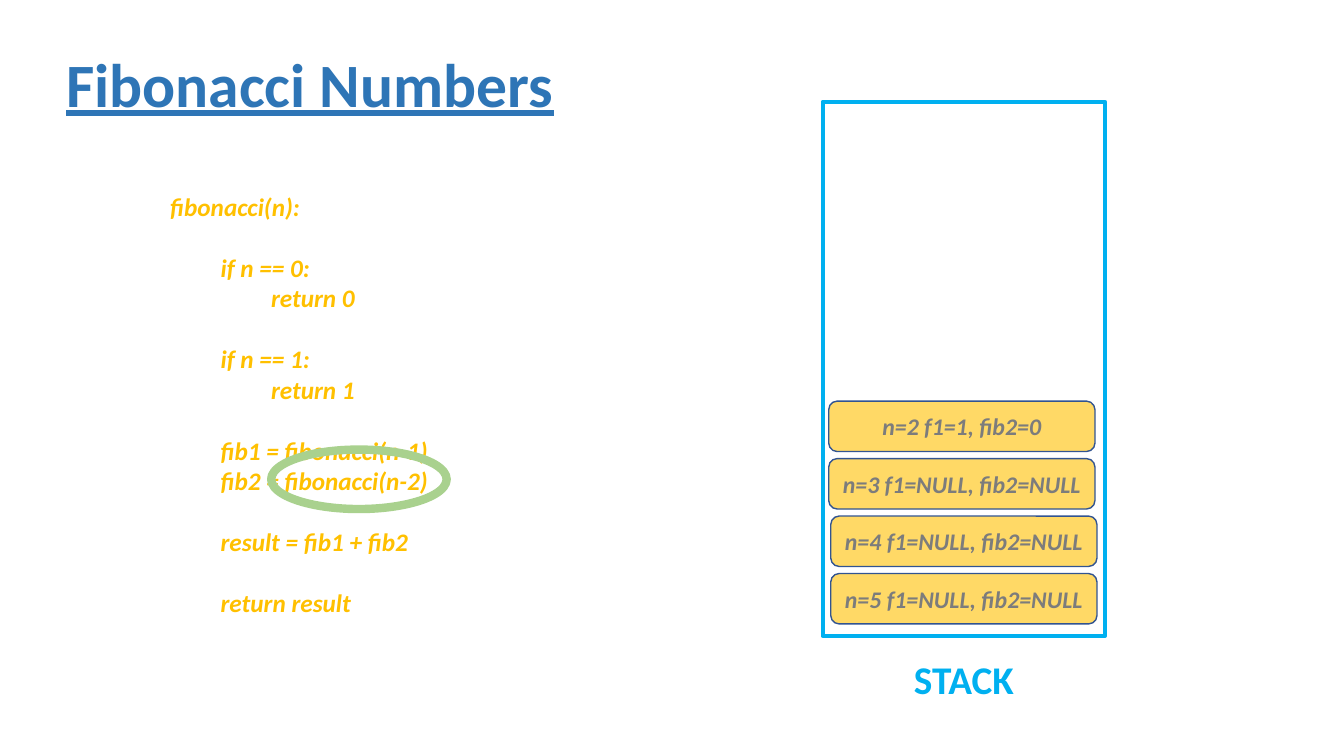
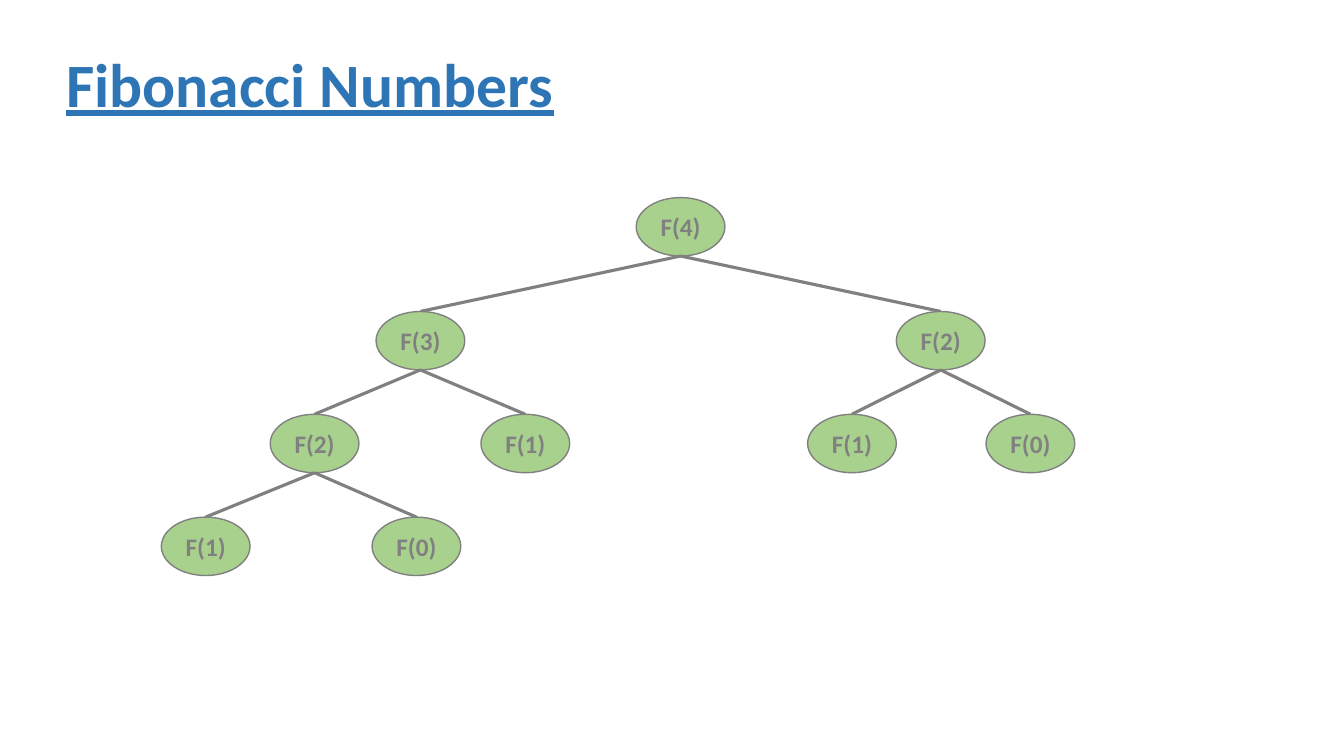
"""Build two slides on Fibonacci numbers: the call stack and the call tree."""
from dataclasses import dataclass

from lxml import etree
from pptx import Presentation
from pptx.dml.color import RGBColor
from pptx.enum.shapes import MSO_CONNECTOR, MSO_SHAPE
from pptx.enum.text import MSO_ANCHOR, PP_ALIGN
from pptx.oxml.ns import qn
from pptx.shapes.autoshape import Shape
from pptx.slide import Slide
from pptx.text.text import TextFrame
from pptx.util import Inches, Pt

RECT = MSO_SHAPE.RECTANGLE
ROUND = MSO_SHAPE.ROUNDED_RECTANGLE
OVAL = MSO_SHAPE.OVAL
STRAIGHT = MSO_CONNECTOR.STRAIGHT
LEFT, CENTER = PP_ALIGN.LEFT, PP_ALIGN.CENTER
TOP, MIDDLE = MSO_ANCHOR.TOP, MSO_ANCHOR.MIDDLE


@dataclass(frozen=True)
class Theme:
    """Colours, font and type sizes of both slides."""
    font: str = "Calibri"
    blue: str = "2E75B6"
    cyan: str = "00B0F0"
    gold: str = "FFC000"
    sand: str = "FFD966"
    navy: str = "325491"
    green: str = "A9D18E"
    gray: str = "808080"
    ink: str = "7C7C7C"
    title: float = 44
    label: float = 28
    body: float = 18
    frame: float = 17


@dataclass(frozen=True)
class Box:
    """Place and size in inches."""
    left: float
    top: float
    width: float
    height: float


@dataclass(frozen=True)
class Style:
    """Look of a piece of text."""
    size: float
    color: str
    align: PP_ALIGN = LEFT
    italic: bool = False
    under: bool = False


@dataclass(frozen=True)
class Line:
    """Line of code with its indent level and a gap above it."""
    text: str
    level: int = 0
    gap: bool = False


@dataclass(frozen=True)
class Frame:
    """Call on the stack."""
    text: str
    left: float


@dataclass(frozen=True)
class Node:
    """Call in the tree, with the centre of its oval."""
    text: str
    x: float
    kids: tuple["Node", ...] = ()


THEME = Theme()
TITLE = Style(THEME.title, THEME.blue, under=True)
LABEL = Style(THEME.label, THEME.cyan, CENTER)
CODE = Style(THEME.body, THEME.gold, italic=True)
CALL = Style(THEME.frame, THEME.ink, CENTER, italic=True)
LEAF = Style(THEME.body, THEME.gray, CENTER)

INDENT = 0.5
GAP = 22
LINES = (
    Line("fibonacci(n):"),
    Line("if n == 0:", 1, True),
    Line("return 0", 2),
    Line("if n == 1:", 1, True),
    Line("return 1", 2),
    Line("fib1 = fibonacci(n-1)", 1, True),
    Line("fib2 = fibonacci(n-2)", 1),
    Line("result = fib1 + fib2", 1, True),
    Line("return result", 1, True),
)

BASE, STEP = 5.69, 0.57
FRAMES = (
    Frame("n=5 f1=NULL, fib2=NULL", 8.24),
    Frame("n=4 f1=NULL, fib2=NULL", 8.24),
    Frame("n=3 f1=NULL, fib2=NULL", 8.22),
    Frame("n=2 f1=1, fib2=0", 8.22),
)

WIDE, HIGH = 0.88, 0.58
TIERS = (1.96, 3.09, 4.11, 5.13)
TREE = Node("F(4)", 6.75, (
    Node("F(3)", 4.17, (
        Node("F(2)", 3.12, (Node("F(1)", 2.04), Node("F(0)", 4.13))),
        Node("F(1)", 5.21),
    )),
    Node("F(2)", 9.33, (Node("F(1)", 8.45), Node("F(0)", 10.22))),
))


def rgb(color: str) -> RGBColor:
    """Turn a hex string into a colour."""
    return RGBColor.from_string(color)


def write(frame: TextFrame, lines: tuple[Line, ...], style: Style) -> None:
    """Fill a text frame with styled lines."""
    for i, line in enumerate(lines):
        para = frame.paragraphs[0] if i == 0 else frame.add_paragraph()
        para.text = line.text
        para.alignment = style.align
        font = para.font
        font.name, font.size, font.bold = THEME.font, Pt(style.size), True
        font.italic, font.underline = style.italic, style.under
        font.color.rgb = rgb(style.color)
        if line.gap:
            para.space_before = Pt(GAP)
        if line.level:
            props = para._p.get_or_add_pPr()
            props.set("marL", str(Inches(INDENT * line.level)))
            props.set("indent", "0")


def add_text(slide: Slide, box: Box, lines: tuple[Line, ...], style: Style,
             anchor: MSO_ANCHOR = TOP) -> TextFrame:
    """Add a wrapped text box."""
    shape = slide.shapes.add_textbox(
        Inches(box.left), Inches(box.top), Inches(box.width), Inches(box.height))
    frame = shape.text_frame
    frame.word_wrap = True
    frame.vertical_anchor = anchor
    write(frame, lines, style)
    return frame


def add_shape(slide: Slide, kind: MSO_SHAPE, box: Box, edge: str,
              weight: float, fill: str = "") -> Shape:
    """Add an outlined shape, hollow unless a fill is given."""
    shape = slide.shapes.add_shape(
        kind, Inches(box.left), Inches(box.top), Inches(box.width), Inches(box.height))
    shape.shadow.inherit = False
    shape.line.color.rgb = rgb(edge)
    shape.line.width = Pt(weight)
    if fill:
        shape.fill.solid()
        shape.fill.fore_color.rgb = rgb(fill)
    else:
        shape.fill.background()
    return shape


def add_label(shape: Shape, text: str, style: Style) -> None:
    """Write one centred line inside a shape."""
    frame = shape.text_frame
    frame.word_wrap = False
    frame.vertical_anchor = MIDDLE
    write(frame, (Line(text),), style)


def add_link(slide: Slide, x1: float, y1: float, x2: float, y2: float) -> None:
    """Join two points with a plain line."""
    link = slide.shapes.add_connector(
        STRAIGHT, Inches(x1), Inches(y1), Inches(x2), Inches(y2))
    link.line.color.rgb = rgb(THEME.gray)
    link.line.width = Pt(2.25)
    etree.SubElement(link._element.spPr, qn("a:effectLst"))


def add_node(slide: Slide, node: Node, tier: int = 0) -> None:
    """Draw a node, its links and all nodes below it."""
    top = TIERS[tier]
    oval = add_shape(slide, OVAL, Box(node.x - WIDE / 2, top, WIDE, HIGH),
                     THEME.gray, 1, THEME.green)
    add_label(oval, node.text, LEAF)
    for kid in node.kids:
        add_link(slide, node.x, top + HIGH, kid.x, TIERS[tier + 1])
        add_node(slide, kid, tier + 1)


def add_slide(deck: Presentation) -> Slide:
    """Add a blank slide with the shared title."""
    slide = deck.slides.add_slide(deck.slide_layouts[6])
    frame = add_text(slide, Box(0.56, 0.14, 11.5, 1.45),
                     (Line("Fibonacci Numbers"),), TITLE, MIDDLE)
    frame.paragraphs[0].line_spacing = 0.9
    return slide


def draw_stack(slide: Slide) -> None:
    """Draw the code and the stack of calls."""
    add_shape(slide, RECT, Box(8.16, 1.01, 2.8, 5.3), THEME.cyan, 3)
    add_text(slide, Box(8.86, 6.45, 1.4, 0.57), (Line("STACK"),), LABEL)
    add_text(slide, Box(1.59, 1.85, 3.04, 4.34), LINES, CODE)
    for i, call in enumerate(FRAMES):
        box = Box(call.left, BASE - i * STEP, 2.64, 0.5)
        card = add_shape(slide, ROUND, box, THEME.navy, 1, THEME.sand)
        add_label(card, call.text, CALL)
    add_shape(slide, OVAL, Box(2.69, 4.46, 1.74, 0.59), THEME.green, 6)


def main() -> None:
    """Build and save the deck."""
    deck = Presentation()
    deck.slide_width, deck.slide_height = Inches(13.33), Inches(7.5)
    draw_stack(add_slide(deck))
    add_node(add_slide(deck), TREE)
    deck.save("out.pptx")


main()
